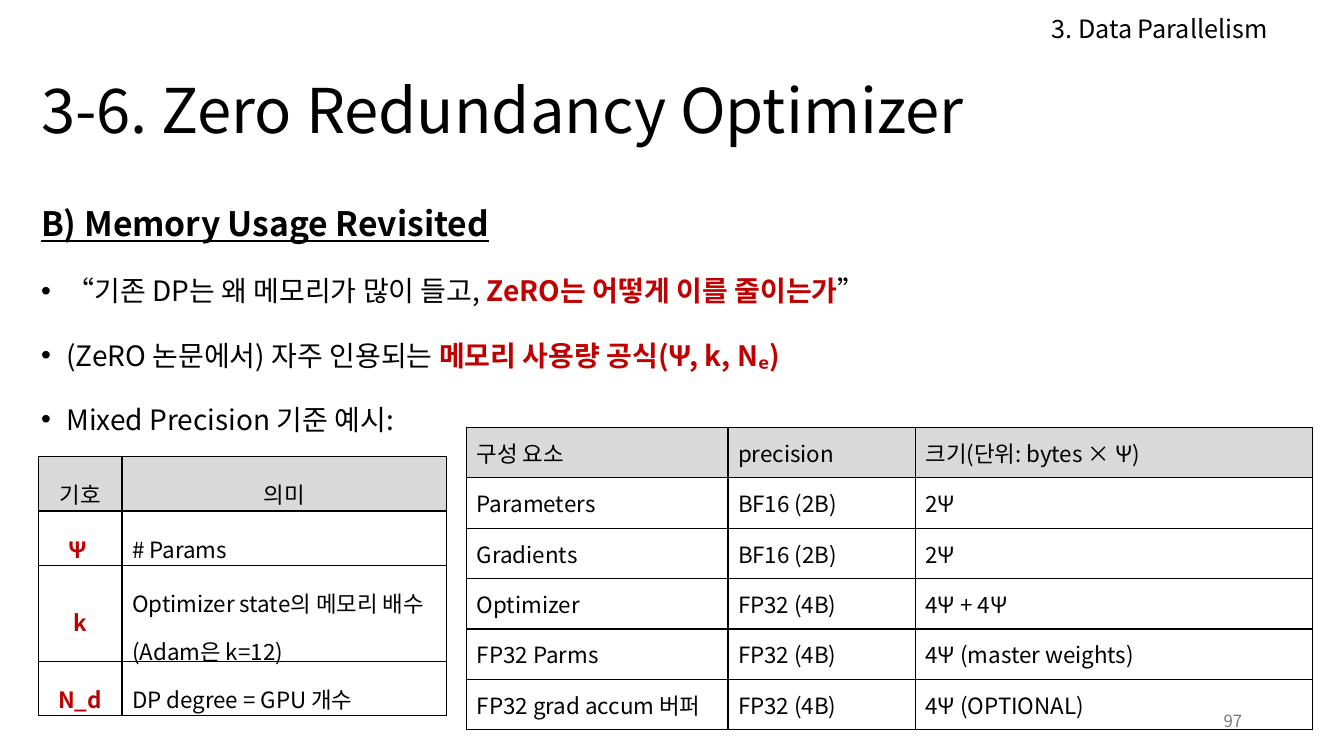
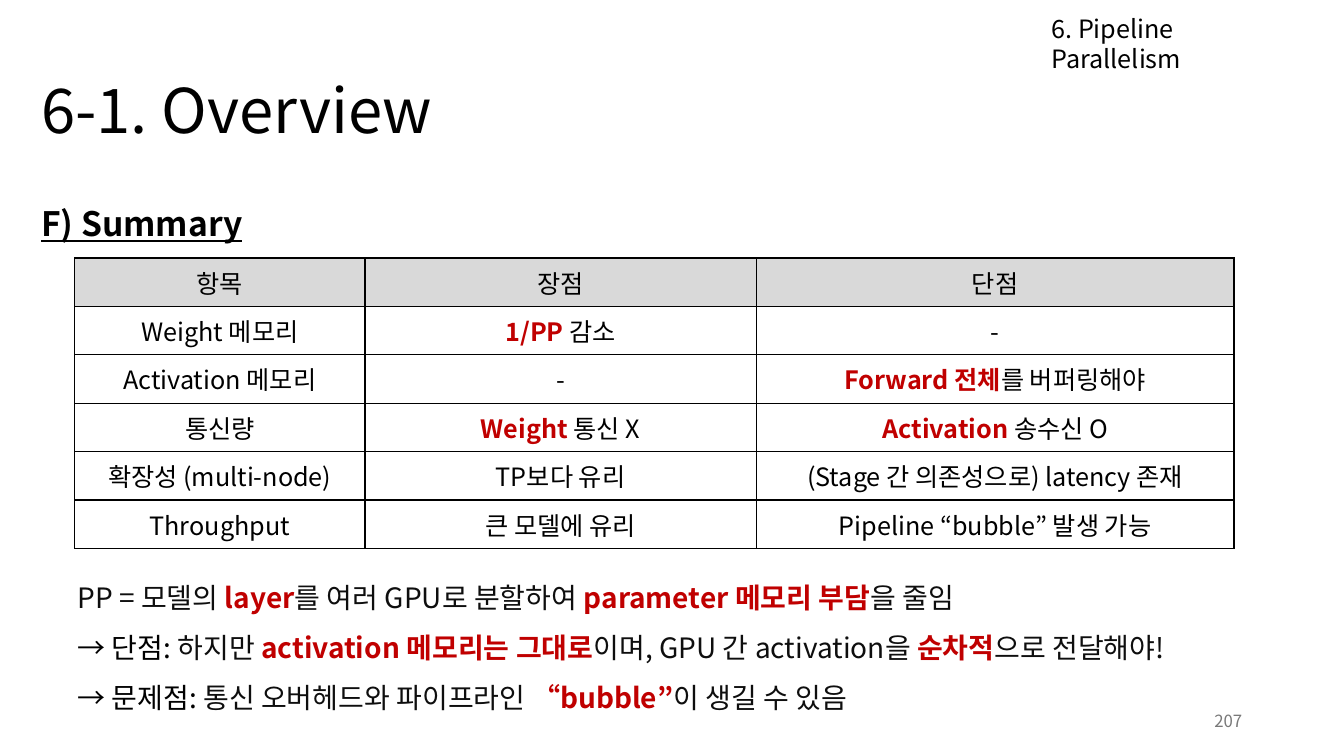
from lxml import etree
from pptx import Presentation
from pptx.dml.color import RGBColor
from pptx.enum.text import MSO_ANCHOR as Anchor, PP_ALIGN as Align
from pptx.oxml import parse_xml
from pptx.oxml.ns import nsdecls, qn
from pptx.util import Inches, Pt

COLORS = {"ink": "000000", "soft": "0E0E0E", "accent": "C00000",
          "header": "D9D9D9", "muted": "797979"}
FONT = "Noto Sans CJK KR"
MARKS = {"*": {"color": "accent", "bold": True}, "^": {"color": "ink"}}


def rgb(name):
    """Return the named colour of the palette."""
    return RGBColor.from_string(COLORS[name])


def add_run(paragraph, text, color, **formats):
    """Append one run and apply its font formats."""
    run = paragraph.add_run()
    run.text = text
    for attribute, value in {"name": FONT, **formats}.items():
        setattr(run.font, attribute, value)
    run.font.color.rgb = rgb(color)
    etree.SubElement(run.font._element, qn("a:ea")).set("typeface", FONT)


def write(paragraph, text, size, color="ink", align=Align.LEFT, spacing=1.0, **formats):
    """Write text split at bars; a leading * is an accent and ^ is ink."""
    paragraph.alignment = align
    paragraph.line_spacing = spacing
    for part in text.split("|"):
        style = MARKS.get(part[0], {})
        look = {"color": color, "size": Pt(size), **formats, **style}
        add_run(paragraph, part[1:] if style else part, **look)


def add_bullet(paragraph):
    """Give a paragraph a hanging bullet and space before."""
    paragraph.space_before = Pt(10)
    properties = paragraph._p.get_or_add_pPr()
    properties.set("marL", str(Inches(0.25)))
    properties.set("indent", str(-Inches(0.25)))
    etree.SubElement(properties, qn("a:buFont")).set("typeface", "Arial")
    etree.SubElement(properties, qn("a:buChar")).set("char", "•")


def add_text(slide, box, lines, size, anchor=Anchor.TOP, **formats):
    """Place a wrapped text box with one paragraph per line."""
    frame = slide.shapes.add_textbox(*map(Inches, box)).text_frame
    frame.word_wrap = True
    frame.vertical_anchor = anchor
    for index, line in enumerate(lines):
        paragraph = frame.add_paragraph() if index else frame.paragraphs[0]
        write(paragraph, line, size, **formats)
    return frame


def outline(cell):
    """Draw a one-point border on every side of a cell."""
    properties = cell._tc.get_or_add_tcPr()
    for index, side in enumerate("LRTB"):
        properties.insert(index, parse_xml(
            f'<a:ln{side} {nsdecls("a")} w="{Pt(1)}"><a:solidFill>'
            f'<a:srgbClr val="{COLORS["ink"]}"/></a:solidFill></a:ln{side}>'))


def add_grid(slide, corner, widths, heights, rows, size, align_of, spacing=1.0):
    """Place a bordered table with a grey header row."""
    extent = sum(widths), sum(heights)
    table = slide.shapes.add_table(
        len(rows), len(widths), *map(Inches, corner + extent)).table
    table.first_row = table.horz_banding = False
    for column, width in zip(table.columns, widths):
        column.width = Inches(width)
    for r, (height, texts) in enumerate(zip(heights, rows)):
        table.rows[r].height = Inches(height)
        for c, text in enumerate(texts):
            cell = table.cell(r, c)
            cell.vertical_anchor = Anchor.MIDDLE
            if r == 0:
                cell.fill.solid()
                cell.fill.fore_color.rgb = rgb("header")
            else:
                cell.fill.background()
            outline(cell)
            for index, line in enumerate(text.split("\n")):
                frame = cell.text_frame
                paragraph = frame.add_paragraph() if index else frame.paragraphs[0]
                write(paragraph, line, size, align=align_of(r, c), spacing=spacing)


def add_page(deck, chapter, title, heading, bullets, number):
    """Add a slide with chapter, title, heading, bullets and page number."""
    slide = deck.slides.add_slide(deck.slide_layouts[6])
    add_text(slide, (0.31, 0.68, 12.74, 0.89), [title], 44, Anchor.MIDDLE, spacing=0.9)
    add_text(slide, (10.33, 0.08, 2.72, 0.4), [chapter], 18)
    body = add_text(slide, (0.31, 1.76, 12.74, 2.7), [heading], 24,
                    spacing=1.5, bold=True, underline=True)
    for bullet in bullets:
        paragraph = body.add_paragraph()
        write(paragraph, bullet, 20, spacing=1.5)
        add_bullet(paragraph)
    return slide, lambda: add_text(slide, (9.42, 6.95, 3, 0.4), [number], 12,
                                   Anchor.MIDDLE, color="muted", align=Align.RIGHT)


def memory_slide(deck):
    """Build the slide on memory usage."""
    slide, add_number = add_page(
        deck, "3. Data Parallelism", "3-6. Zero Redundancy Optimizer",
        "B) Memory Usage Revisited",
        ["“기존 DP는 왜 메모리가 많이 들고, |*ZeRO는 어떻게 이를 줄이는가|”",
         "(ZeRO 논문에서) 자주 인용되는 |*메모리 사용량 공식(Ψ, k, Nₑ)",
         "Mixed Precision 기준 예시:"], "97")
    symbols = [("기호", "의미"), ("*Ψ ", "# Params"),
               ("*k", "Optimizer state의 메모리 배수\n(Adam은 k=12)"),
               ("*N_d", "DP degree = GPU 개수")]
    add_grid(slide, (0.38, 4.53), (0.83, 3.22), (0.54, 0.54, 0.95, 0.54), symbols, 16,
             lambda r, c: Align.LEFT if r and c else Align.CENTER, 1.5)
    components = [("구성 요소", "precision", "크기(단위: bytes × Ψ)"),
                  ("Parameters", "BF16 (2B)", "2Ψ"),
                  ("Gradients", "BF16 (2B)", "2Ψ"),
                  ("Optimizer", "FP32 (4B)", "4Ψ + 4Ψ"),
                  ("FP32 Parms", "FP32 (4B)", "4Ψ (master weights)"),
                  ("FP32 grad accum 버퍼", "FP32 (4B)", "4Ψ (OPTIONAL)")]
    add_grid(slide, (4.63, 4.24), (2.59, 1.86, 3.94), [0.5] * 6, components, 16,
             lambda r, c: Align.LEFT)
    add_number()


def summary_slide(deck):
    """Build the slide that sums up pipeline parallelism."""
    slide, add_number = add_page(deck, "6. Pipeline Parallelism", "6-1. Overview",
                                 "F) Summary", [], "207")
    tradeoffs = [("항목", "장점", "단점"),
                 ("Weight 메모리", "*1/PP |감소", "-"),
                 ("Activation 메모리", "-", "*Forward 전체|를 버퍼링해야"),
                 ("통신량", "*Weight |통신 X", "*Activation |송수신 O"),
                 ("확장성 (multi-node)", "TP보다 유리", "(Stage 간 의존성으로) latency 존재"),
                 ("Throughput", "큰 모델에 유리", "Pipeline “bubble” 발생 가능")]
    add_grid(slide, (0.74, 2.56), (2.88, 3.88, 4.74), [0.48] * 6, tradeoffs, 18,
             lambda r, c: Align.CENTER)
    conclusions = [
        "PP = 모델의 |*layer|를 여러 GPU로 분할하여 |*parameter 메모리 부담|을 줄임",
        "^→ 단점: |하지만 |*activation 메모리는 그대로|이며, GPU 간 activation을 "
        "|*순차적|으로 전달해야!",
        "^→ 문제점: |통신 오버헤드와 파이프라인 |*“bubble”|이 생길 수 있음"]
    add_text(slide, (0.67, 5.54, 11.8, 1.56), conclusions, 20, color="soft", spacing=1.5)
    add_number()


def main():
    """Build and save the deck."""
    deck = Presentation()
    deck.slide_width, deck.slide_height = Inches(13.33), Inches(7.5)
    memory_slide(deck)
    summary_slide(deck)
    deck.save("out.pptx")


if __name__ == "__main__":
    main()
